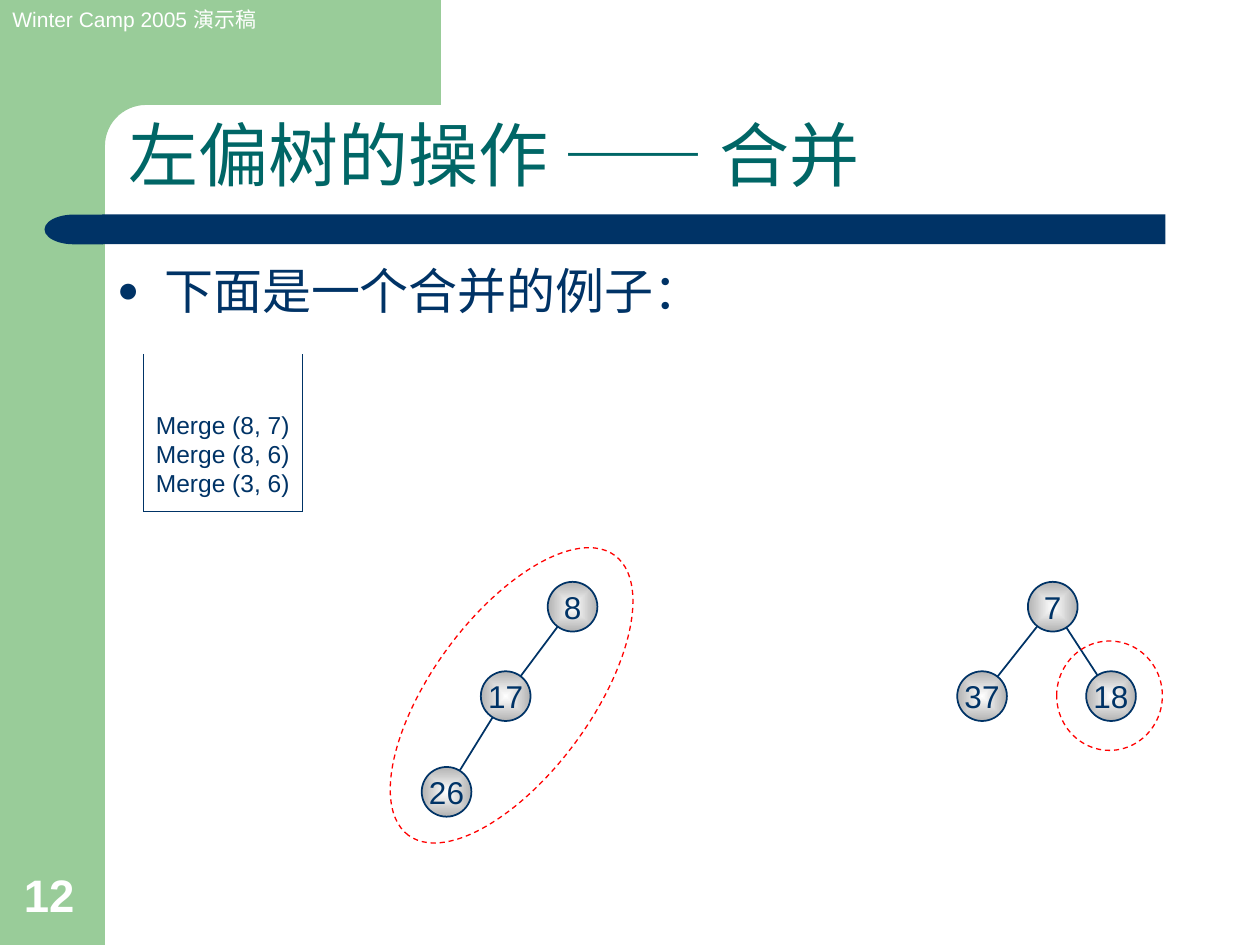
import math

from lxml import etree
from pptx import Presentation
from pptx.dml.color import RGBColor
from pptx.enum.dml import MSO_LINE
from pptx.enum.shapes import MSO_CONNECTOR, MSO_SHAPE
from pptx.enum.text import MSO_ANCHOR, MSO_AUTO_SIZE, PP_ALIGN
from pptx.oxml import parse_xml
from pptx.oxml.ns import nsdecls, qn
from pptx.util import Pt

NAVY = RGBColor(0x00, 0x33, 0x66)
TEAL = RGBColor(0x00, 0x66, 0x66)
GREEN = RGBColor(0x99, 0xCC, 0x99)
WHITE = RGBColor(0xFF, 0xFF, 0xFF)
GREY = RGBColor(0xB2, 0xB2, 0xB2)
RED = RGBColor(0xFF, 0x00, 0x00)

LATIN, CJK = "Arial", "Noto Sans CJK SC"
RECT, OVAL, DELAY = MSO_SHAPE.RECTANGLE, MSO_SHAPE.OVAL, MSO_SHAPE.FLOWCHART_DELAY
STRAIGHT, DASH = MSO_CONNECTOR.STRAIGHT, MSO_LINE.DASH
TOP, MIDDLE, BOTTOM = MSO_ANCHOR.TOP, MSO_ANCHOR.MIDDLE, MSO_ANCHOR.BOTTOM
LEFT, CENTER = PP_ALIGN.LEFT, PP_ALIGN.CENTER
NO_AUTOFIT = MSO_AUTO_SIZE.NONE
TITLE_ONLY = 5

NODE_SIZE = 28.4
LEFT_TREE = {
    "centres": {"8": (327.2, 346.7), "17": (289, 397.8), "26": (255.2, 452.5)},
    "edges": [("8", "17"), ("17", "26")],
}
RIGHT_TREE = {
    "centres": {"7": (601.6, 346.7), "37": (561.2, 397.8), "18": (634.9, 397.8)},
    "edges": [("7", "37"), ("7", "18")],
}


def points(*lengths):
    """Turn plain numbers into point lengths."""
    return [Pt(length) for length in lengths]


def style_run(run, size, color, bold=False, latin=LATIN):
    """Format one run, with a separate face for Chinese text."""
    run.font.size, run.font.bold, run.font.name = Pt(size), bold, latin
    run.font.color.rgb = color
    east_asian = etree.SubElement(run.font._element, qn("a:ea"))
    east_asian.set("typeface", CJK)


def add_text(slide, box, text, size, color, bold=False, anchor=TOP, wrap=True):
    """Add a text box and return its text frame."""
    frame = slide.shapes.add_textbox(*points(*box)).text_frame
    frame.word_wrap, frame.vertical_anchor = wrap, anchor
    frame.text = text
    for paragraph in frame.paragraphs:
        paragraph.alignment = LEFT
        for run in paragraph.runs:
            style_run(run, size, color, bold)
    return frame


def fill_plain(shape, color):
    """Give a shape a flat fill without line or shadow."""
    shape.shadow.inherit = False
    shape.fill.solid()
    shape.fill.fore_color.rgb = color
    shape.line.fill.background()


def add_block(slide, kind, box, color):
    """Add a flat decorative shape."""
    block = slide.shapes.add_shape(kind, *points(*box))
    fill_plain(block, color)
    return block


def add_header_band(slide):
    """Add the top band, whose inner corner is a quarter circle."""
    radius, corner = 23.5, 83.5
    angles = [math.radians(90 + 6 * step) for step in range(16)]
    arc = [(corner + radius * math.cos(a), corner - radius * math.sin(a)) for a in angles]
    outline = [(252, 60), *arc, (60, 92), (36, 92), (36, 0)]
    builder = slide.shapes.build_freeform(Pt(252), 0)
    builder.add_line_segments([points(*corner) for corner in outline], close=True)
    fill_plain(builder.convert_to_shape(), GREEN)


def add_line(slide, start, end, width):
    """Add a straight navy line without shadow."""
    line = slide.shapes.add_connector(STRAIGHT, *points(*start, *end))
    line.line.color.rgb, line.line.width = NAVY, Pt(width)
    etree.SubElement(line._element.spPr, qn("a:effectLst"))


def add_node(slide, label, centre):
    """Add a numbered tree node, white in the centre and grey at the rim."""
    x, y = centre
    box = (x - NODE_SIZE / 2, y - NODE_SIZE / 2, NODE_SIZE, NODE_SIZE)
    node = add_block(slide, OVAL, box, WHITE)
    gradient = parse_xml(
        f'<a:gradFill {nsdecls("a")}><a:gsLst>'
        f'<a:gs pos="0"><a:srgbClr val="{WHITE}"/></a:gs>'
        f'<a:gs pos="100000"><a:srgbClr val="{GREY}"/></a:gs></a:gsLst>'
        '<a:path path="rect"><a:fillToRect l="50000" t="50000" r="50000" b="50000"/>'
        '</a:path></a:gradFill>')
    properties = node._element.spPr
    properties.replace(properties.find(qn("a:solidFill")), gradient)
    node.line.color.rgb, node.line.width = NAVY, Pt(1)
    frame = node.text_frame
    frame.text, frame.word_wrap, frame.vertical_anchor = label, False, MIDDLE
    frame.paragraphs[0].alignment = CENTER
    style_run(frame.paragraphs[0].runs[0], 18, NAVY)


def add_tree(slide, centres, edges):
    """Draw the edges between node centres, then the nodes over them."""
    for parent, child in edges:
        add_line(slide, centres[parent], centres[child], 1)
    for label, centre in centres.items():
        add_node(slide, label, centre)


def add_dashed_ring(slide, box, rotation=0):
    """Ring a subtree with a dashed red ellipse."""
    ring = slide.shapes.add_shape(OVAL, *points(*box))
    ring.shadow.inherit = False
    ring.fill.background()
    ring.line.color.rgb, ring.line.width, ring.line.dash_style = RED, Pt(0.75), DASH
    ring.rotation = rotation


def add_title(slide):
    """Place and format the title placeholder."""
    title = slide.shapes.title
    title.left, title.top, title.width, title.height = points(66.2, 67, 599, 49)
    frame = title.text_frame
    frame.auto_size, frame.word_wrap, frame.vertical_anchor = NO_AUTOFIT, True, BOTTOM
    heading = frame.paragraphs[0]
    heading.alignment, heading.line_spacing = LEFT, 0.9
    for text, face in (("左偏树的操作 ", LATIN), ("——", CJK), (" 合并", LATIN)):
        run = heading.add_run()
        run.text = text
        style_run(run, 40, TEAL, latin=face)


def add_bullet(slide):
    """Add the bulleted introduction."""
    frame = add_text(slide, (59.8, 145.4, 607, 351.4), "下面是一个合并的例子:".replace(":", "："), 28, NAVY)
    intro = frame.paragraphs[0]
    intro.space_before = Pt(7)
    properties = intro._p.get_or_add_pPr()
    properties.set("marL", str(Pt(27)))
    properties.set("indent", str(Pt(-27)))
    color = etree.SubElement(properties, qn("a:buClr"))
    etree.SubElement(color, qn("a:srgbClr")).set("val", str(NAVY))
    etree.SubElement(properties, qn("a:buSzPct")).set("val", "75000")
    etree.SubElement(properties, qn("a:buFont")).set("typeface", LATIN)
    etree.SubElement(properties, qn("a:buChar")).set("char", "●")


def add_call_stack(slide):
    """Draw the open-topped stack of pending merges."""
    left, right, top, bottom = 82, 172.8, 202.3, 292.5
    calls = "\n".join(f"Merge ({a}, {b})" for a, b in ((8, 7), (8, 6), (3, 6)))
    add_text(slide, (left, 230.4, right - left, 57.6), calls, 14, NAVY, anchor=BOTTOM, wrap=False)
    corners = [(left, top), (left, bottom), (right, bottom), (right, top)]
    for start, end in zip(corners, corners[1:]):
        add_line(slide, start, end, 0.75)


def main():
    """Build the slide and save it."""
    deck = Presentation()
    deck.slide_width, deck.slide_height = points(720, 540)
    slide = deck.slides.add_slide(deck.slide_layouts[TITLE_ONLY])
    add_block(slide, RECT, (0, 0, 60, 540), GREEN)
    add_header_band(slide)
    add_block(slide, RECT, (58.5, 122.6, 607.5, 17), NAVY)
    add_block(slide, DELAY, (25.4, 122.6, 33.6, 17), NAVY).rotation = 180
    add_text(slide, (0, 0, 164.2, 21.6), "Winter Camp 2005 演示稿", 12, WHITE, wrap=False)
    add_text(slide, (6.5, 491.8, 46, 38.2), "12", 26, WHITE, bold=True, anchor=BOTTOM)
    add_title(slide)
    add_bullet(slide)
    for tree in (RIGHT_TREE, LEFT_TREE):
        add_tree(slide, **tree)
    add_call_stack(slide)
    add_dashed_ring(slide, (193, 352, 198.7, 90.7), 306.4)
    add_dashed_ring(slide, (603.8, 366.3, 60.4, 62.5))
    deck.save("out.pptx")


main()
